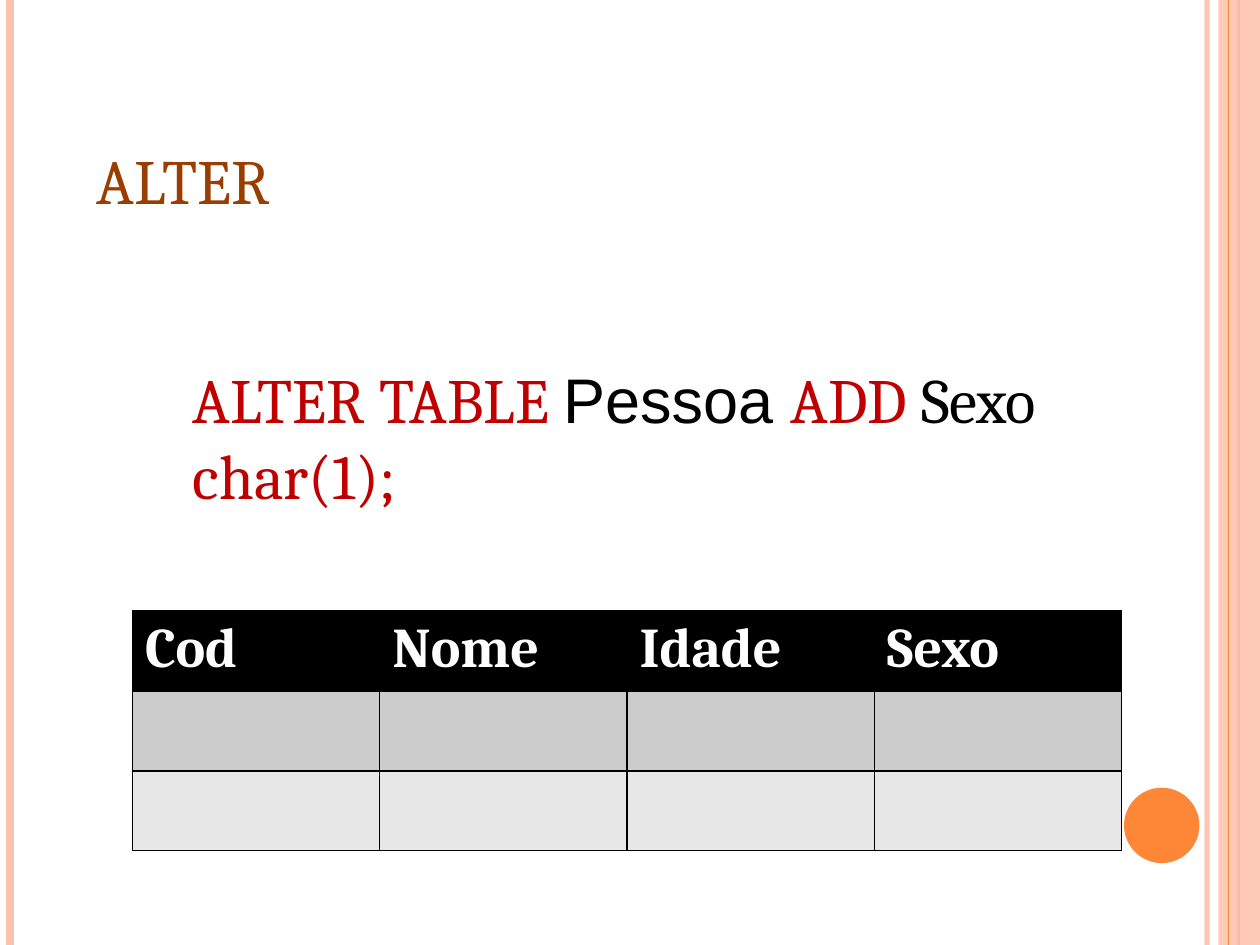
from lxml.etree import SubElement
from pptx import Presentation
from pptx.dml.color import RGBColor
from pptx.enum.shapes import MSO_CONNECTOR, MSO_SHAPE
from pptx.enum.text import MSO_ANCHOR, MSO_AUTO_SIZE, PP_ALIGN
from pptx.oxml.ns import qn
from pptx.util import Cm, Pt

COLORS = {
    "pale": "FEC3AE", "orange": "FE8637", "title": "9A3D01",
    "keyword": "C00000", "black": "000000", "white": "FFFFFF",
    "odd_row": "CCCCCC", "even_row": "E7E7E7",
}
PAGE_WIDTH, PAGE_HEIGHT = 25.4, 19.05


def color(name):
    return RGBColor.from_string(COLORS[name])


def set_alpha(fill_parent, percent):
    """Make the solid fill below an element partly transparent."""
    rgb = fill_parent.find(qn("a:solidFill")).find(qn("a:srgbClr"))
    SubElement(rgb, qn("a:alpha"), val=str(percent * 1000))


class SlideBuilder:
    font = "Cambria"
    text_size = 36
    table_size = 32

    def __init__(self, page):
        self.page = page

    def format_span(self, span, ink, size, font=None, bold=False):
        span.font.name = font or self.font
        span.font.size = Pt(size)
        span.font.bold = bold
        span.font.color.rgb = color(ink)

    def stripe(self, x, width, ink, alpha=None):
        line = self.page.shapes.add_connector(
            MSO_CONNECTOR.STRAIGHT, Cm(x), Cm(0), Cm(x), Cm(PAGE_HEIGHT))
        line.line.color.rgb = color(ink)
        line.line.width = Pt(width)
        properties = line._element.spPr
        if alpha:
            set_alpha(properties.find(qn("a:ln")), alpha)
        SubElement(properties, qn("a:effectLst"))

    def shape(self, kind, left, top, width, height, ink, alpha=None):
        shape = self.page.shapes.add_shape(
            kind, Cm(left), Cm(top), Cm(width), Cm(height))
        shape.shadow.inherit = False
        shape.fill.solid()
        shape.fill.fore_color.rgb = color(ink)
        shape.line.fill.background()
        if alpha:
            set_alpha(shape._element.spPr, alpha)

    def text(self, box, left, top, width, height, spans, wrap=True):
        """Fill a placeholder with one paragraph of (text, ink, font) spans."""
        box.left, box.top = Cm(left), Cm(top)
        box.width, box.height = Cm(width), Cm(height)
        frame = box.text_frame
        frame.word_wrap = wrap
        frame.auto_size = MSO_AUTO_SIZE.NONE
        frame.vertical_anchor = MSO_ANCHOR.TOP
        para = frame.paragraphs[0]
        para.alignment = PP_ALIGN.LEFT
        para.space_before = Pt(0)
        properties = para._p.get_or_add_pPr()
        properties.set("marL", "0")
        properties.set("indent", "0")
        SubElement(properties, qn("a:buNone"))
        for words, ink, font in spans:
            span = para.add_run()
            span.text = words
            self.format_span(span, ink, self.text_size, font)

    def border(self, cell, ink="black", width=1):
        properties = cell._tc.get_or_add_tcPr()
        for side in ("lnL", "lnR", "lnT", "lnB"):
            edge = SubElement(properties, qn(f"a:{side}"), w=str(Pt(width)))
            fill = SubElement(edge, qn("a:solidFill"))
            SubElement(fill, qn("a:srgbClr"), val=COLORS[ink])

    def table(self, left, top, width, height, headings, row_fills):
        table = self.page.shapes.add_table(
            len(row_fills), len(headings),
            Cm(left), Cm(top), Cm(width), Cm(height)).table
        for column, heading in enumerate(headings):
            table.cell(0, column).text_frame.text = heading
        for row, ink in zip(table.rows, row_fills):
            for cell in row.cells:
                self.border(cell)
                cell.fill.solid()
                cell.fill.fore_color.rgb = color(ink)
                for span in cell.text_frame.paragraphs[0].runs:
                    self.format_span(span, "white", self.table_size, bold=True)


def main():
    deck = Presentation()
    deck.slide_width, deck.slide_height = Cm(PAGE_WIDTH), Cm(PAGE_HEIGHT)
    page = deck.slides.add_slide(deck.slide_layouts[1])
    builder = SlideBuilder(page)

    # Side stripes and accent circle
    builder.stripe(24.33, 3, "pale", alpha=93)
    builder.stripe(0.2, 4.5, "pale")
    builder.stripe(24.97, 1.5, "orange")
    builder.shape(MSO_SHAPE.RECTANGLE, 24.56, 0, 0.84, PAGE_HEIGHT,
                  "pale", alpha=87)
    builder.stripe(24.77, 0.75, "orange")
    builder.shape(MSO_SHAPE.OVAL, 22.66, 15.88, 1.52, 1.52, "orange")

    # Title and SQL statement
    title, body = page.placeholders
    builder.text(title, 1.7, 2.72, 5, 1.8, [("ALTER", "title", None)],
                 wrap=False)
    builder.text(body, 3.63, 7.14, 18, 3.33, [
        ("ALTER TABLE ", "keyword", None),
        ("Pessoa ", "black", "Arial"),
        ("ADD ", "keyword", None),
        ("Sexo ", "black", None),
        ("char(1);", "keyword", None),
    ])

    # Resulting table
    builder.table(2.67, 12.32, 19.94, 4.83,
                  ["Cod", "Nome", "Idade", "Sexo"],
                  ["black", "odd_row", "even_row"])

    deck.save("out.pptx")


if __name__ == "__main__":
    main()
